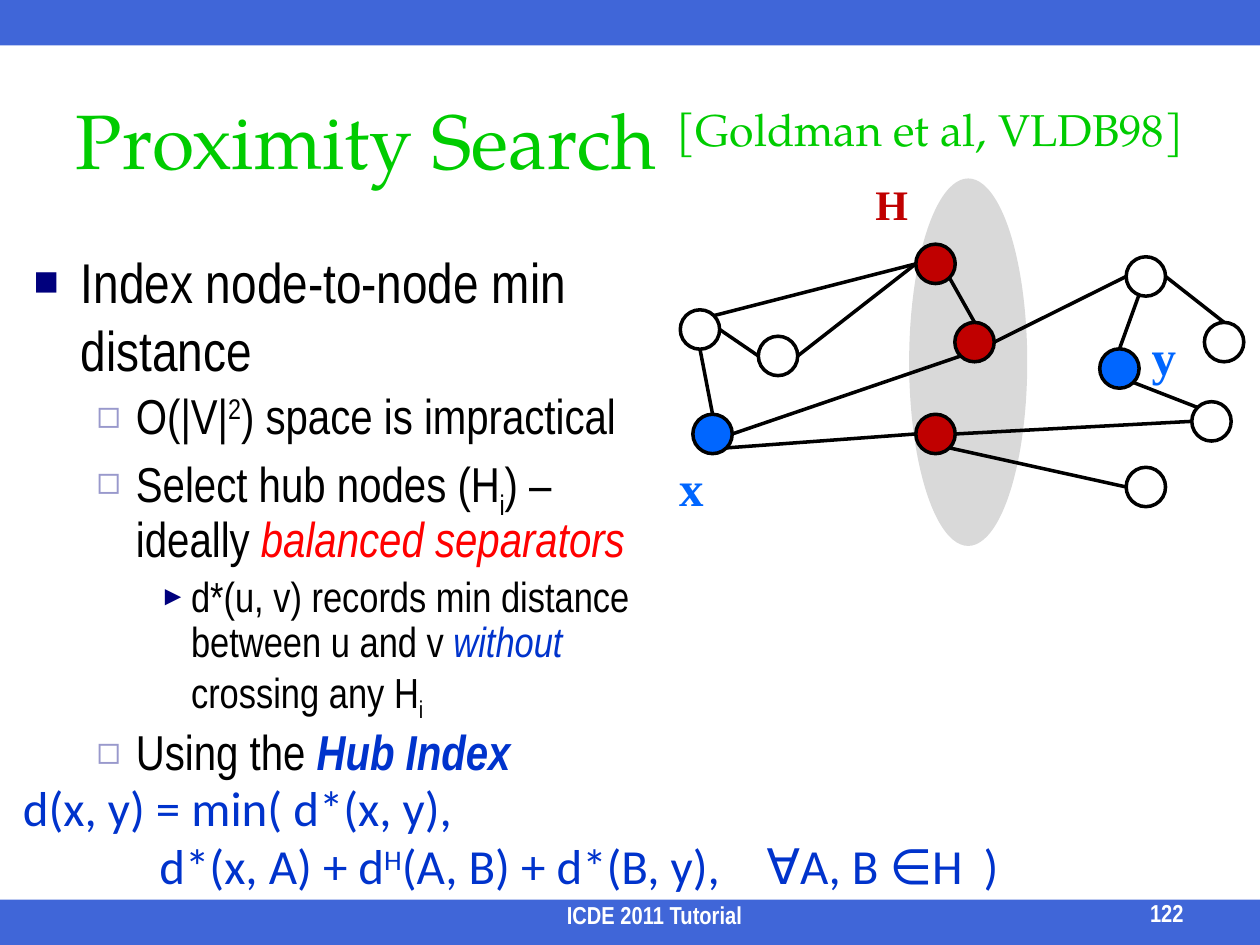
from math import sqrt

from lxml import etree
from pptx import Presentation
from pptx.dml.color import RGBColor
from pptx.enum import shapes, text
from pptx.oxml import ns
from pptx.util import Pt

COLORS = {
    "bar": "0033CC", "title": "00CC00", "ink": "000000", "white": "FFFFFF",
    "navy": "00007D", "lilac": "9999CC", "red": "FF0000", "blue": "0033CC",
    "hub": "C00000", "end": "0066FF", "oval": "D9D9D9",
}
NARROW, SERIF = "Arial Narrow", "Times New Roman"

# Bullet character, colour, size in percent, indent, hanging, line spacing, text size
LEVELS = [
    ("■", "navy", 75, 27, 27, 1.0, 32),
    ("◻", "lilac", 80, 58.5, 22.5, 0.9, 28),
    ("►", "navy", 65, 90, 18, 0.9, 24),
]
BULLETS = [
    (0, [("Index node-to-node min distance", {})]),
    (1, [("O(|V|", {}), ("2", {"baseline": 30}), (") space is impractical", {})]),
    (1, [("Select hub nodes (H", {}), ("i", {"baseline": -25}), (") – ideally ", {}),
         ("balanced separators", {"color": "red", "italic": True})]),
    (2, [("d*(u, v) records min distance between u and v ", {}),
         ("without", {"color": "blue", "italic": True}),
         (" crossing any H", {}), ("i", {"baseline": -25})]),
    (1, [("Using the ", {}),
         ("Hub Index", {"color": "blue", "bold": True, "italic": True})]),
]

# Graph: node centres relative to the graph box, with fill
NODE_SIZE = 22.5
NODES = {
    "top hub": (146.6, 48.8, "hub"), "low hub": (146.6, 146, "hub"),
    "mid hub": (168.9, 93.5, "hub"), "a": (12, 86.3, None),
    "b": (56.6, 101.4, None), "x": (19.2, 146, "end"),
    "c": (266.8, 56, None), "d": (311.5, 93.5, None),
    "y": (251.7, 108.6, "end"), "e": (304.3, 138.8, None),
    "f": (266.8, 176.3, None),
}
DIAGONAL = 1 / sqrt(2)
SITES = {
    "top": (0, -1), "bottom": (0, 1), "left": (-1, 0), "right": (1, 0),
    "top left": (-DIAGONAL, -DIAGONAL), "top right": (DIAGONAL, -DIAGONAL),
    "bottom left": (-DIAGONAL, DIAGONAL), "bottom right": (DIAGONAL, DIAGONAL),
    "near bottom": (-0.35, 0.94),
}
EDGES = [
    ("b", "right", "top hub", "left"), ("mid hub", "right", "c", "left"),
    ("c", "right", "d", "top"), ("a", "right", "b", "left"),
    ("a", "top right", "top hub", "left"), ("a", "bottom", "x", "top"),
    ("x", "right", "mid hub", "bottom left"), ("low hub", "right", "e", "left"),
    ("top hub", "bottom right", "mid hub", "top"),
    ("x", "bottom right", "low hub", "left"),
    ("low hub", "bottom right", "f", "left"),
    ("c", "near bottom", "y", "top"), ("e", "top left", "y", "bottom right"),
]
LABELS = [("x", -23, 165, 28, "end"), ("y", 247, 90, 28, "end"),
          ("H", 91.5, 3, 24, "hub")]


def rgb(name):
    return RGBColor.from_string(COLORS[name])


def add_xml(parent, tag, **attributes):
    return etree.SubElement(parent, ns.qn(tag), attributes)


def add_span(para, words, font=NARROW, size=14, color="ink", bold=False,
             italic=False, baseline=0):
    span = para.add_run()
    span.text = words
    span.font.name, span.font.size = font, Pt(size)
    span.font.bold, span.font.italic = bold, italic
    span.font.color.rgb = rgb(color)
    if baseline:
        span.font._element.set("baseline", str(baseline * 1000))


def place(item, box):
    item.left, item.top, item.width, item.height = map(Pt, box)


def add_text_box(page, box, anchor=text.MSO_ANCHOR.TOP):
    frame = page.shapes.add_textbox(*map(Pt, box)).text_frame
    frame.word_wrap = True
    frame.vertical_anchor = anchor
    return frame


def add_line_of_text(page, box, words, align, anchor, **style):
    para = add_text_box(page, box, anchor).paragraphs[0]
    para.alignment = align
    add_span(para, words, bold=True, **style)


def add_solid(page, kind, box, fill=None, line=None):
    solid = page.shapes.add_shape(kind, *map(Pt, box))
    solid.shadow.inherit = False
    if fill:
        solid.fill.solid()
        solid.fill.fore_color.rgb = rgb(fill)
    else:
        solid.fill.background()
    if line:
        solid.line.color.rgb, solid.line.width = rgb(line), Pt(2)
    else:
        solid.line.fill.background()
    return solid


def add_bar(page, box):
    bar = add_solid(page, shapes.MSO_SHAPE.RECTANGLE, box, "bar")
    color = bar._element.spPr.find(".//" + ns.qn("a:srgbClr"))
    add_xml(color, "a:alpha", val="75000")


def add_title(page, box):
    title = page.shapes.title
    place(title, box)
    title.text_frame.auto_size = text.MSO_AUTO_SIZE.NONE
    para = title.text_frame.paragraphs[0]
    para.alignment = text.PP_ALIGN.LEFT
    style = {"font": "TeX Gyre Pagella", "size": 44, "color": "title"}
    add_span(para, "Proximity Search ", **style)
    add_span(para, "[Goldman et al, VLDB98]", baseline=30, **style)


def add_bullets(page, box):
    body = page.placeholders[1]
    place(body, box)
    frame = body.text_frame
    frame.auto_size = text.MSO_AUTO_SIZE.NONE
    for number, (level, spans) in enumerate(BULLETS):
        para = frame.add_paragraph() if number else frame.paragraphs[0]
        mark, color, percent, indent, hanging, spacing, size = LEVELS[level]
        para.level, para.line_spacing = level, spacing
        props = para._p.get_or_add_pPr()
        props.set("marL", str(Pt(indent)))
        props.set("indent", str(-Pt(hanging)))
        add_xml(add_xml(props, "a:buClr"), "a:srgbClr", val=COLORS[color])
        add_xml(props, "a:buSzPct", val=str(percent * 1000))
        add_xml(props, "a:buFont", typeface="Arial")
        add_xml(props, "a:buChar", char=mark)
        for words, style in spans:
            add_span(para, words, size=size, **style)


def add_graph(page, box):
    left, top = box[:2]
    radius = NODE_SIZE / 2
    oval = shapes.MSO_SHAPE.OVAL
    # Separator behind the hubs
    add_solid(page, oval, (left + 131.5, top, 67.5, 210), "oval")
    for x, y, fill in NODES.values():
        node_box = (left + x - radius, top + y - radius, NODE_SIZE, NODE_SIZE)
        add_solid(page, oval, node_box, fill, "ink")

    def site_point(node, site):
        (x, y, _), (dx, dy) = NODES[node], SITES[site]
        return Pt(left + x + dx * radius), Pt(top + y + dy * radius)

    for start, start_site, end, end_site in EDGES:
        edge = page.shapes.add_connector(
            shapes.MSO_CONNECTOR.STRAIGHT,
            *site_point(start, start_site), *site_point(end, end_site))
        edge.line.color.rgb, edge.line.width = rgb("ink"), Pt(2)
        add_xml(edge._element.spPr, "a:effectLst")
    for words, x, y, size, color in LABELS:
        add_line_of_text(page, (left + x, top + y, 60, 22.5), words,
                         text.PP_ALIGN.CENTER, text.MSO_ANCHOR.MIDDLE,
                         font=SERIF, size=size, color=color)


def add_formula(page, box):
    frame = add_text_box(page, box)
    style = {"font": "Calibri", "size": 28, "color": "blue"}
    add_span(frame.paragraphs[0], "d(x, y) = min( d*(x, y),", **style)
    para = frame.add_paragraph()
    stops = add_xml(para._p.get_or_add_pPr(), "a:tabLst")
    for stop in (78, 425, 549):
        add_xml(stops, "a:tab", pos=str(Pt(stop)), algn="l")
    add_span(para, "\td*(x, A) + d", **style)
    add_span(para, "H", baseline=30, **style)
    add_span(para, "(A, B) + d*(B, y),\t∀A, B ∈H\t)", **style)


def add_footer(page, box):
    left, top = box[:2]
    bottom = text.MSO_ANCHOR.BOTTOM
    add_line_of_text(page, (left + 592.5, top + 2, 91, 17.5), "122",
                     text.PP_ALIGN.RIGHT, bottom, color="white")
    add_line_of_text(page, (left + 167, top + 3, 414, 17.5), "ICDE 2011 Tutorial",
                     text.PP_ALIGN.CENTER, bottom, color="white")


def main():
    deck = Presentation()
    deck.slide_width, deck.slide_height = Pt(720), Pt(540)
    page = deck.slides.add_slide(deck.slide_layouts[1])
    footer_box = (0, 514, 720, 26)
    add_bar(page, (0, 0, 720, 26))
    add_bar(page, footer_box)
    add_title(page, (36, 36, 648, 86.5))
    add_bullets(page, (12, 138, 378, 369))
    add_graph(page, (388, 102, 323, 210))
    add_formula(page, (6, 440.5, 630, 75))
    add_footer(page, footer_box)
    deck.save("out.pptx")


if __name__ == "__main__":
    main()
